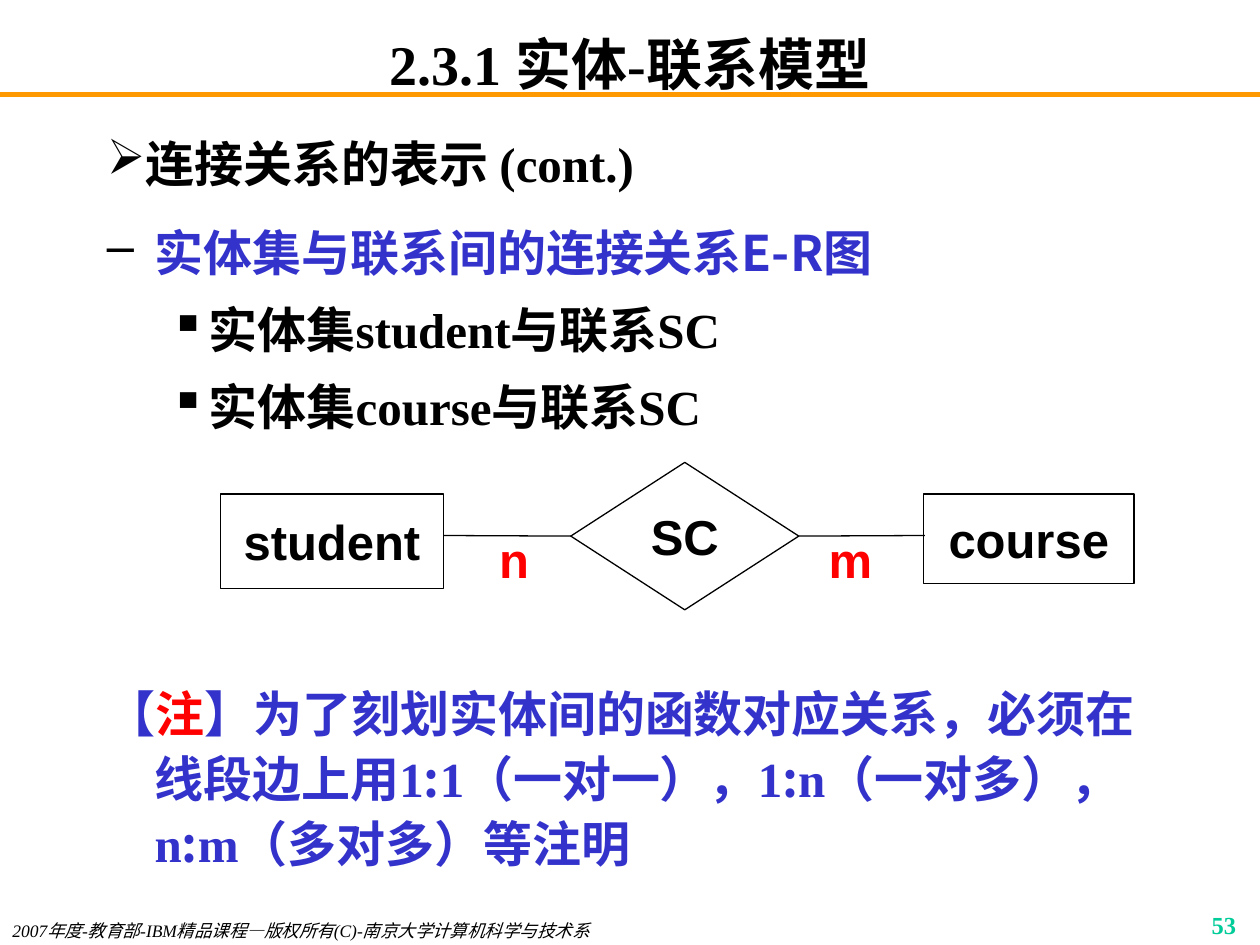
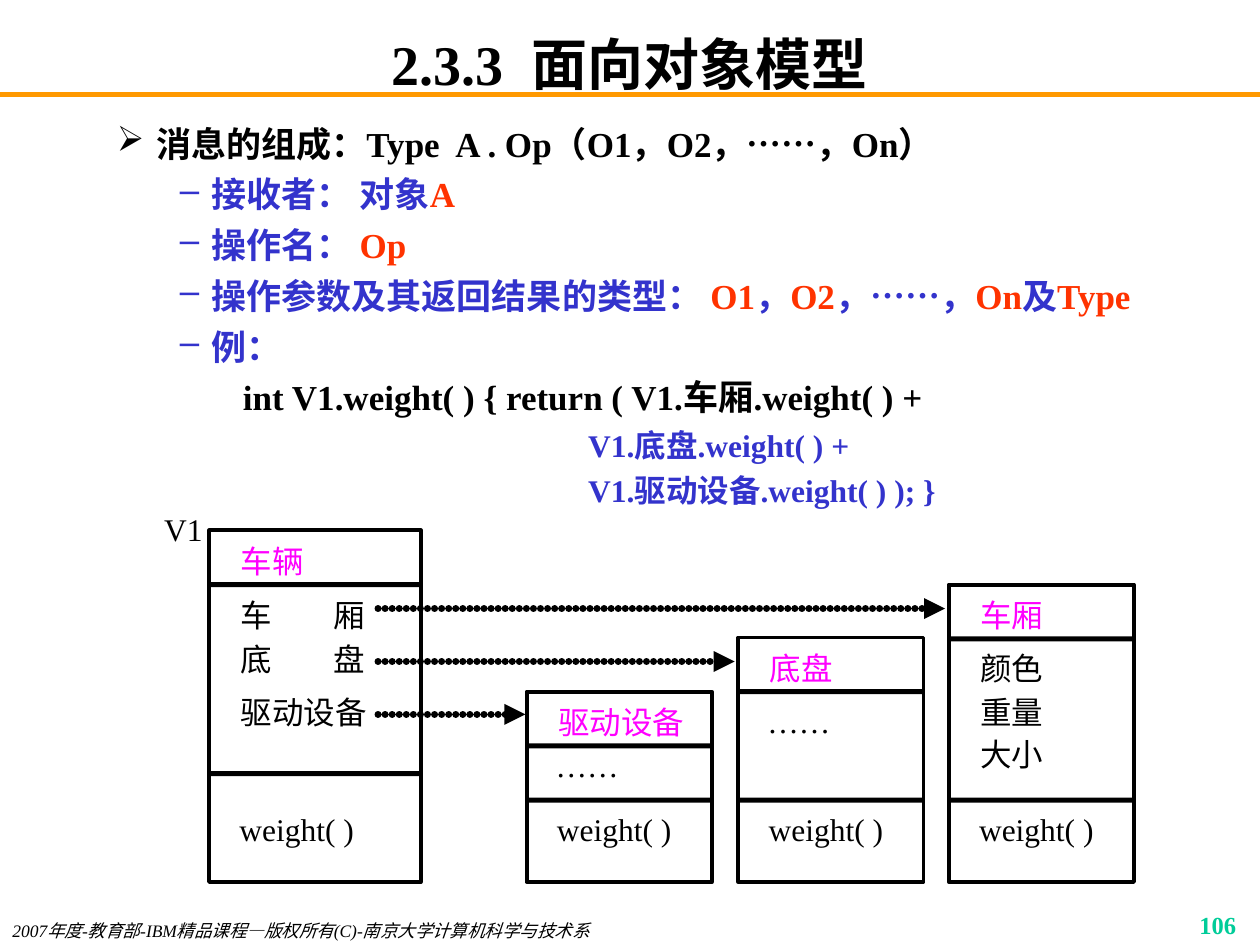
from dataclasses import dataclass
from typing import NamedTuple

from lxml import etree
from pptx import Presentation
from pptx import util as u
from pptx.dml.color import RGBColor
from pptx.enum import shapes, text
from pptx.oxml import ns

INK = {
    "black": "000000", "white": "FFFFFF", "blue": "3333CC", "red": "FF0000",
    "flame": "FF3300", "pink": "FF00FF", "rule": "FF9900", "page": "00CC99",
}
ROMAN, SANS, HAN = "Times New Roman", "Arial", "Noto Sans CJK SC"
MID, LEFT, RIGHT = text.PP_ALIGN.CENTER, text.PP_ALIGN.LEFT, text.PP_ALIGN.RIGHT
FOOT = "2007年度-教育部-IBM精品课程—版权所有(C)-南京大学计算机科学与技术系"
PAD = (0.1, 0.05, 0.1, 0.05)
BARE = (0, 0, 0, 0)


class Run(NamedTuple):
    words: str
    ink: str = "black"
    font: str = ROMAN


@dataclass
class Para:
    runs: list[Run]
    size: float
    bold: bool = True
    slant: bool = False
    align: text.PP_ALIGN = LEFT
    left: float = 0
    hang: float = 0
    gap: float = 0
    lead: float = 1.0
    mark: str = ""
    tint: str = "black"


class Field(NamedTuple):
    words: str
    top: float
    shift: float = 0.25
    font: str = HAN


@dataclass
class Card:
    name: str
    left: float
    top: float
    width: float
    foot: float
    fields: list[Field]


def color(name: str) -> RGBColor:
    return RGBColor.from_string(INK[name])


def child(node, tag: str, **attrs):
    return etree.SubElement(node, ns.qn(tag), **attrs)


# Text
def write(frame, paras: list[Para], pad=PAD, anchor=text.MSO_ANCHOR.TOP, wrap=True):
    frame.word_wrap = wrap
    frame.vertical_anchor = anchor
    (frame.margin_left, frame.margin_top,
     frame.margin_right, frame.margin_bottom) = map(u.Inches, pad)
    for i, item in enumerate(paras):
        para = frame.add_paragraph() if i else frame.paragraphs[0]
        props = para._p.get_or_add_pPr()
        props.set("marL", str(u.Inches(item.left)))
        props.set("indent", str(u.Inches(-item.hang)))
        if item.mark:
            child(child(props, "a:buClr"), "a:srgbClr", val=INK[item.tint])
            child(props, "a:buChar", char=item.mark)
        else:
            child(props, "a:buNone")
        para.alignment = item.align
        para.line_spacing = item.lead
        if i:
            para.space_before = u.Pt(item.gap)
        for part in item.runs:
            run = para.add_run()
            run.text = part.words
            font = run.font
            font.size, font.bold, font.italic = u.Pt(item.size), item.bold, item.slant
            font.name = part.font
            font.color.rgb = color(part.ink)
            child(font._element, "a:ea", typeface=HAN)


def place(slide, box, paras: list[Para], **style):
    area = slide.shapes.add_textbox(*map(u.Inches, box))
    write(area.text_frame, paras, **style)


def label(slide, box, run: Run, size: float = 18, bold: bool = False):
    place(slide, box, [Para([run], size, bold, align=MID)], pad=BARE, wrap=False)


# Shapes and lines
def block(slide, box, kind=shapes.MSO_SHAPE.RECTANGLE, fill="white", line=0.75):
    form = slide.shapes.add_shape(kind, *map(u.Inches, box))
    form.shadow.inherit = False
    form.fill.solid()
    form.fill.fore_color.rgb = color(fill)
    if line:
        form.line.color.rgb = color("black")
        form.line.width = u.Pt(line)
    else:
        form.line.fill.background()
    return form


def link(slide, start, end, ink="black", width=0.75):
    line = slide.shapes.add_connector(
        shapes.MSO_CONNECTOR.STRAIGHT, *map(u.Inches, (*start, *end)))
    line.line.color.rgb = color(ink)
    line.line.width = u.Pt(width)
    child(line._element.spPr, "a:effectLst")
    return line


def arrow(slide, start, end):
    line = link(slide, start, end, width=4)
    edge = line.line._get_or_add_ln()
    edge.set("cap", "rnd")
    child(child(edge, "a:custDash"), "a:ds", d="1000", sp="100000")
    child(edge, "a:round")
    child(edge, "a:tailEnd", type="triangle")


# Title, rule, footer and page number
def begin(deck, title: str, page: int):
    slide = deck.slides.add_slide(deck.slide_layouts[6])
    link(slide, (0, 0.75), (10, 0.75), "rule", 3)
    place(slide, (0.75, 0.25, 8.5, 0.5), [Para([Run(title)], 32, align=MID)],
          pad=(0.1, 0, 0.1, 0), anchor=text.MSO_ANCHOR.MIDDLE)
    place(slide, (0, 7.25, 5.5, 0.25), [Para([Run(FOOT)], 10, False, True)])
    place(slide, (7.83, 7.17, 2.08, 0.25),
          [Para([Run(str(page), "page")], 14, align=RIGHT)])
    return slide


def node(slide, box, name: str, kind=shapes.MSO_SHAPE.RECTANGLE):
    form = block(slide, box, kind)
    write(form.text_frame, [Para([Run(name, font=SANS)], 28, align=MID)],
          anchor=text.MSO_ANCHOR.MIDDLE)
    return form


def model(deck):
    slide = begin(deck, "2.3.1 实体-联系模型", 53)
    place(slide, (0.25, 0.92, 8.5, 0.67),
          [Para([Run("连接关系的表示 (cont.)")], 28,
                left=0.81, hang=0.31, lead=1.2, mark="➢")])

    # Outline
    def point(*runs: Run) -> Para:
        return Para(list(runs), 28, left=0.81, hang=0.31, gap=7, lead=1.1, mark="▪")

    place(slide, (0.75, 1.67, 8.5, 1.75), [
        Para([Run("实体集与联系间的连接关系E-R图", "blue", HAN)], 28,
             left=0.38, hang=0.38, lead=1.1, mark="–"),
        point(Run("实体集", font=HAN), Run("student与"),
              Run("联系", font=HAN), Run("SC")),
        point(Run("实体集", font=HAN), Run("course"),
              Run("与联系", font=HAN), Run("SC")),
    ])

    # Entity diagram
    node(slide, (1.75, 3.92, 1.77, 0.75), "student")
    bond = node(slide, (4.53, 3.67, 1.81, 1.17), "SC", shapes.MSO_SHAPE.DIAMOND)
    node(slide, (7.33, 3.92, 1.67, 0.71), "course")
    link(slide, (3.52, 4.25), (4.53, 4.25)).end_connect(bond, 1)
    link(slide, (6.34, 4.25), (7.34, 4.25)).begin_connect(bond, 3)
    for name, left in (("n", 3.83), ("m", 6.5)):
        label(slide, (left, 4.2, 0.5, 0.47), Run(name, "red", SANS), 28, True)

    # Note
    note = [Run("【", "blue", HAN), Run("注", "red", HAN),
            Run("】为了刻划实体间的函数对应关系，必须在线段边上用", "blue", HAN)]
    ratios = (("1", "1（一对一）", "，"), ("1", "n（一对多）", "，"),
              ("n", "m（多对多）", "等注明"))
    for one, many, tail in ratios:
        note += [Run(one, "blue"), Run(":", "blue", HAN),
                 Run(many, "blue"), Run(tail, "blue", HAN)]
    place(slide, (0.75, 5.33, 8.5, 1.58),
          [Para(note, 28, left=0.38, hang=0.38, lead=1.1)])


def draw(slide, card: Card):
    base, bar = 7, 0.04
    block(slide, (card.left, card.top, card.width, base - card.top), line=2.25)
    for top in (card.top + 0.41, card.foot):
        block(slide, (card.left, top, card.width, bar), fill="black", line=0)
    label(slide, (card.left + 0.25, card.top + 0.09, 0.25 * len(card.name), 0.3),
          Run(card.name, "pink", HAN))
    for item in card.fields:
        label(slide, (card.left + item.shift, item.top, 0.25 * len(item.words), 0.3),
              Run(item.words, font=item.font))
    label(slide, (card.left + 0.24, 6.43, 0.91, 0.3), Run("weight( )"))


def message(deck):
    slide = begin(deck, "2.3.3  面向对象模型", 106)

    # Parts of a message
    def part(*runs: Run) -> Para:
        return Para(list(runs), 20, left=1.25, hang=0.25, gap=5, mark="–", tint="blue")

    def code(words: str) -> Para:
        return Para([Run(words, "blue")], 18, left=4.24, gap=4.5)

    place(slide, (0.33, 0.92, 8.92, 3.33), [
        Para([Run("消息的组成：Type  A . Op（O1，O2，……，On）")], 20,
             left=0.81, hang=0.31, mark="➢"),
        part(Run("接收者： 对象", "blue"), Run("A", "flame")),
        part(Run("操作名： ", "blue"), Run("Op", "flame")),
        part(Run("操作参数及其返回结果的类型： ", "blue"), Run("O1", "flame"),
             Run("，", "blue"), Run("O2", "flame"), Run("，……，", "blue"),
             Run("On", "flame"), Run("及", "blue"), Run("Type", "flame")),
        part(Run("例：", "blue")),
        Para([Run("int V1.weight( ) { return ( V1.车厢.weight( ) +")], 20,
             left=1.5, gap=5),
        code("V1.底盘.weight( ) +"),
        code("V1.驱动设备.weight( ) ); }"),
    ])

    # Object cards
    label(slide, (1.3, 4.05, 0.31, 0.3), Run("V1"))
    cards = [
        Card("车辆", 1.66, 4.21, 1.68, 6.12, [
            Field("车", 4.73), Field("厢", 4.73, 0.99),
            Field("底", 5.08), Field("盘", 5.08, 0.99), Field("驱动设备", 5.5)]),
        Card("驱动设备", 4.18, 5.49, 1.47, 6.33, [Field("……", 5.92, 0.23, ROMAN)]),
        Card("底盘", 5.86, 5.06, 1.47, 6.33, [Field("……", 5.57, 0.23, ROMAN)]),
        Card("车厢", 7.53, 4.64, 1.47, 6.33, [
            Field("颜色", 5.15), Field("重量", 5.5), Field("大小", 5.83)]),
    ]
    for card in cards:
        draw(slide, card)

    # References from the vehicle to its parts
    for i, end in enumerate((7.5, 5.83, 4.17)):
        top = 4.83 + 0.42 * i
        arrow(slide, (3, top), (end, top))


def main():
    deck = Presentation()
    deck.slide_width, deck.slide_height = u.Inches(10), u.Inches(7.5)
    model(deck)
    message(deck)
    deck.save("out.pptx")


if __name__ == "__main__":
    main()
